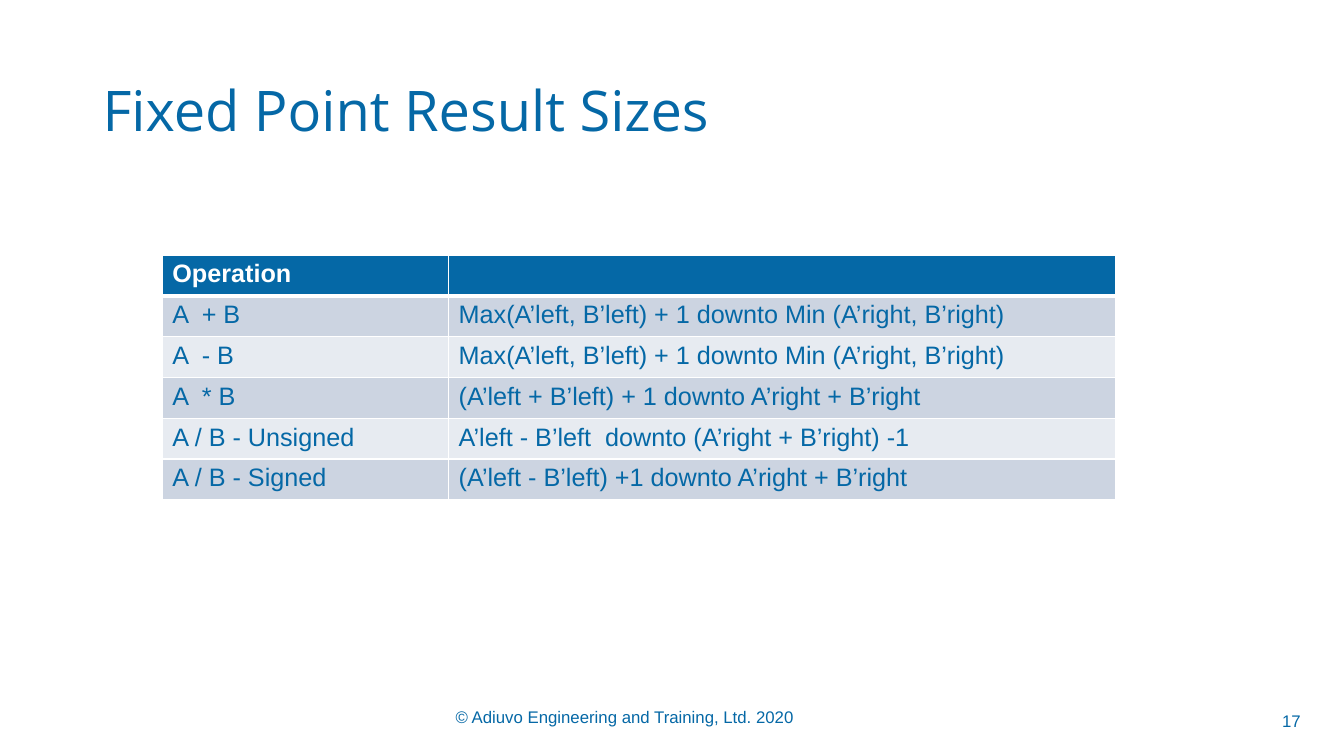
from lxml import etree
from pptx import Presentation
from pptx.dml.color import RGBColor
from pptx.enum.text import MSO_ANCHOR, PP_ALIGN
from pptx.oxml.ns import qn
from pptx.util import Inches, Pt

MIDDLE = MSO_ANCHOR.MIDDLE
LEFT, RIGHT = PP_ALIGN.LEFT, PP_ALIGN.RIGHT
BLUE, WHITE = "0568A6", "FFFFFF"
BANDS = ["CCD4E1", "E7EBF1"]


def write(para, text, color=BLUE, **formats):
    span = para.add_run()
    span.text = text
    span.font.color.rgb = RGBColor.from_string(color)
    for name, value in formats.items():
        setattr(span.font, name, value)


def add_border(cell, side, points):
    line = etree.SubElement(cell._tc.get_or_add_tcPr(), qn(f"a:ln{side}"), w=str(Pt(points)))
    fill = etree.SubElement(line, qn("a:solidFill"))
    etree.SubElement(fill, qn("a:srgbClr"), val=WHITE)


deck = Presentation()
deck.slide_width, deck.slide_height = Inches(13.33), Inches(7.5)
page = deck.slides.add_slide(deck.slide_layouts[6])

# Title, copyright line and page number
texts = [
    ("Fixed Point Result Sizes", (0.92, 0.4, 11.5, 1.45), "Open Sans", 40, LEFT, 0.9),
    ("© Adiuvo Engineering and Training, Ltd. 2020", (4.42, 6.91, 4.5, 0.4), "Arial", 12, LEFT, 1),
    ("17", (10, 6.95, 3, 0.4), "Arial", 12, RIGHT, 1),
]
for text, place, font, size, alignment, spacing in texts:
    box = page.shapes.add_textbox(*map(Inches, place))
    box.text_frame.word_wrap = True
    box.text_frame.vertical_anchor = MIDDLE
    para = box.text_frame.paragraphs[0]
    para.alignment = alignment
    para.line_spacing = spacing
    write(para, text, name=font, size=Pt(size))

# Table of result sizes
rows = [
    ("Operation", ""),
    ("A  + B", "Max(A’left, B’left) + 1 downto Min (A’right, B’right)"),
    ("A  - B", "Max(A’left, B’left) + 1 downto Min (A’right, B’right)"),
    ("A  * B", "(A’left + B’left) + 1 downto A’right + B’right"),
    ("A / B - Unsigned", "A’left - B’left  downto (A’right + B’right) -1"),
    ("A / B - Signed", "(A’left - B’left) +1 downto A’right + B’right"),
]
frame = page.shapes.add_table(len(rows), 2, Inches(1.61), Inches(2.53), Inches(9.46), Inches(2.43))
table = frame.table
for column, width in zip(table.columns, (2.84, 6.62)):
    column.width = Inches(width)

for row_index, row in enumerate(rows):
    is_header = row_index == 0
    for column_index, text in enumerate(row):
        cell = table.cell(row_index, column_index)
        top = 3 if row_index == 1 else 1
        bottom = 3 if is_header else 1
        for side, points in {"L": 1, "R": 1, "T": top, "B": bottom}.items():
            add_border(cell, side, points)
        cell.fill.solid()
        fill = BLUE if is_header else BANDS[(row_index - 1) % 2]
        cell.fill.fore_color.rgb = RGBColor.from_string(fill)
        para = cell.text_frame.paragraphs[0]
        para.font.size = Pt(18)
        if text:
            write(para, text, WHITE if is_header else BLUE,
                  name="Arial", size=Pt(18), bold=is_header)

deck.save("out.pptx")
